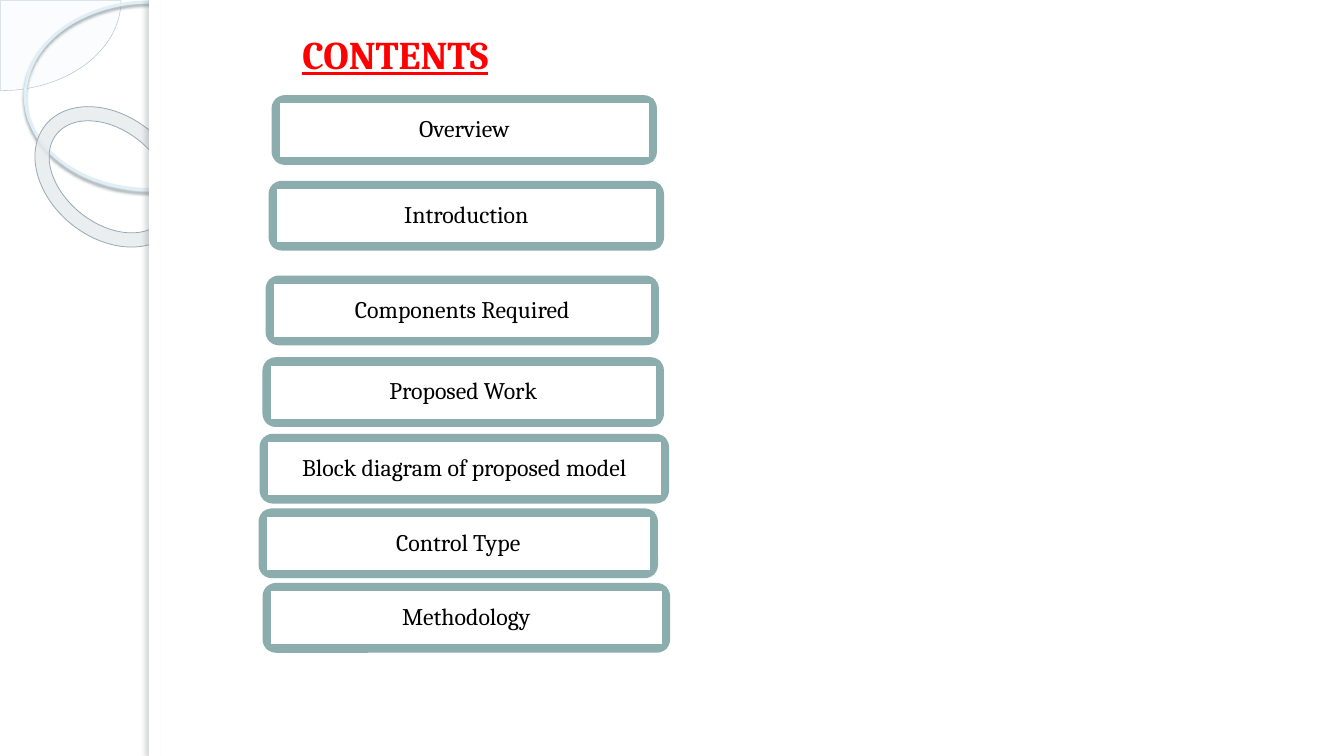
from lxml import etree
from pptx import Presentation
from pptx.dml.color import RGBColor
from pptx.enum.shapes import MSO_SHAPE as Shape
from pptx.enum.text import MSO_ANCHOR as Anchor, MSO_AUTO_SIZE as AutoSize, PP_ALIGN as Align
from pptx.oxml.ns import qn
from pptx.util import Inches, Pt

FONT = "Cambria"
WHITE, TEAL = "FFFFFF", "8CADAE"
HEADING = "CONTENTS"
# Entry, left, top and width of its frame
ENTRIES = [
    ("Overview", 2.72, 0.97, 3.77),
    ("Introduction", 2.69, 1.82, 3.87),
    ("Components Required", 2.66, 2.76, 3.85),
    ("Proposed Work", 2.63, 3.57, 3.93),
    ("Block diagram of proposed model", 2.6, 4.33, 4.01),
    ("Control Type", 2.59, 5.07, 3.91),
    ("Methodology", 2.63, 5.81, 3.99),
]
FRAME_HEIGHT, INSET = 0.64, 0.03


def rgb(color):
    return RGBColor.from_string(color)


def add_alpha(color_element, percent):
    etree.SubElement(color_element, qn("a:alpha")).set("val", str(percent * 1000))


def add_shadow(shape, color, opacity, blur, distance, angle):
    """Give the shape an outer shadow; lengths in points, angle in degrees."""
    effects = shape._element.spPr.find(qn("a:effectLst"))
    outer = etree.SubElement(effects, qn("a:outerShdw"), blurRad=str(Pt(blur)),
                             dist=str(Pt(distance)), dir=str(angle * 60000),
                             algn="tl", rotWithShape="0")
    add_alpha(etree.SubElement(outer, qn("a:srgbClr"), val=color), opacity)


def add_figure(shapes, kind, box, fill=None, line=None, opacity=100):
    figure = shapes.add_shape(kind, *map(Inches, box))
    figure.shadow.inherit = False
    if fill:
        figure.fill.solid()
        figure.fill.fore_color.rgb = rgb(fill)
        if opacity < 100:
            add_alpha(figure._element.spPr.find(".//" + qn("a:srgbClr")), opacity)
    else:
        figure.fill.background()
    if line:
        color, width = line
        figure.line.color.rgb = rgb(color)
        figure.line.width = Pt(width)
    else:
        figure.line.fill.background()
    return figure


def add_side_ornament(shapes):
    quarter = add_figure(shapes, Shape.PIE, (-1.19, -0.89, 2.39, 1.79),
                         "F4F8FA", ("A1B6C0", 0.25), 33)
    quarter.adjustments[0], quarter.adjustments[1] = 0, 54
    ring = add_figure(shapes, Shape.OVAL, (0.25, 0.02, 2.48, 1.86), line=("E0EEF6", 2.15))
    add_shadow(ring, "8E9CA2", 85, 2, 2, 90)
    donut = add_figure(shapes, Shape.DONUT, (0.27, 1.15, 1.64, 1.21),
                       "E6EAEC", ("95AAB5", 0.58), 80)
    donut.adjustments[0] = 0.118
    donut.rotation = 38.6
    add_figure(shapes, Shape.RECTANGLE, (1.48, 0, 11.86, 7.5), WHITE)
    edge = add_figure(shapes, Shape.RECTANGLE, (1.48, 0, 0.11, 7.5), WHITE)
    add_shadow(edge, "61686B", 25, 3, 3, 180)


def add_entry(shapes, entry, left, top, width):
    parts = shapes.add_group_shape().shapes
    border = (TEAL, 3.78)
    add_figure(parts, Shape.ROUNDED_RECTANGLE, (left, top, width, FRAME_HEIGHT), WHITE, border)
    inner = (left + INSET, top + INSET, width - 2 * INSET, FRAME_HEIGHT - 2 * INSET)
    frame = add_figure(parts, Shape.RECTANGLE, inner, WHITE, border).text_frame
    frame.margin_left = frame.margin_right = Inches(0.07)
    frame.margin_top = frame.margin_bottom = Inches(0.04)
    frame.vertical_anchor = Anchor.MIDDLE
    frame.word_wrap = True
    frame.text = entry
    label = frame.paragraphs[0]
    label.alignment = Align.CENTER
    label.line_spacing = 0.9
    label.font.name, label.font.size = FONT, Pt(17)
    label.font.color.rgb = rgb("000000")


def place_heading(slide):
    heading = slide.shapes.title
    heading.left, heading.top, heading.width, heading.height = map(
        Inches, (2.9, 0.25, 3.36, 0.57))
    frame = heading.text_frame
    frame.text = HEADING
    frame.vertical_anchor = Anchor.TOP
    frame.auto_size = AutoSize.SHAPE_TO_FIT_TEXT
    line = frame.paragraphs[0]
    line.alignment = Align.LEFT
    font = line.font
    font.name, font.size = FONT, Pt(28)
    font.bold = font.underline = True
    font.color.rgb = rgb("FF0000")
    # Bring the heading in front of the white panel
    slide.shapes._spTree.append(heading._element)


def main():
    deck = Presentation()
    deck.slide_width, deck.slide_height = Inches(13.33), Inches(7.5)
    slide = deck.slides.add_slide(deck.slide_layouts[5])
    add_side_ornament(slide.shapes)
    for entry in ENTRIES:
        add_entry(slide.shapes, *entry)
    place_heading(slide)
    deck.save("out.pptx")


if __name__ == "__main__":
    main()
